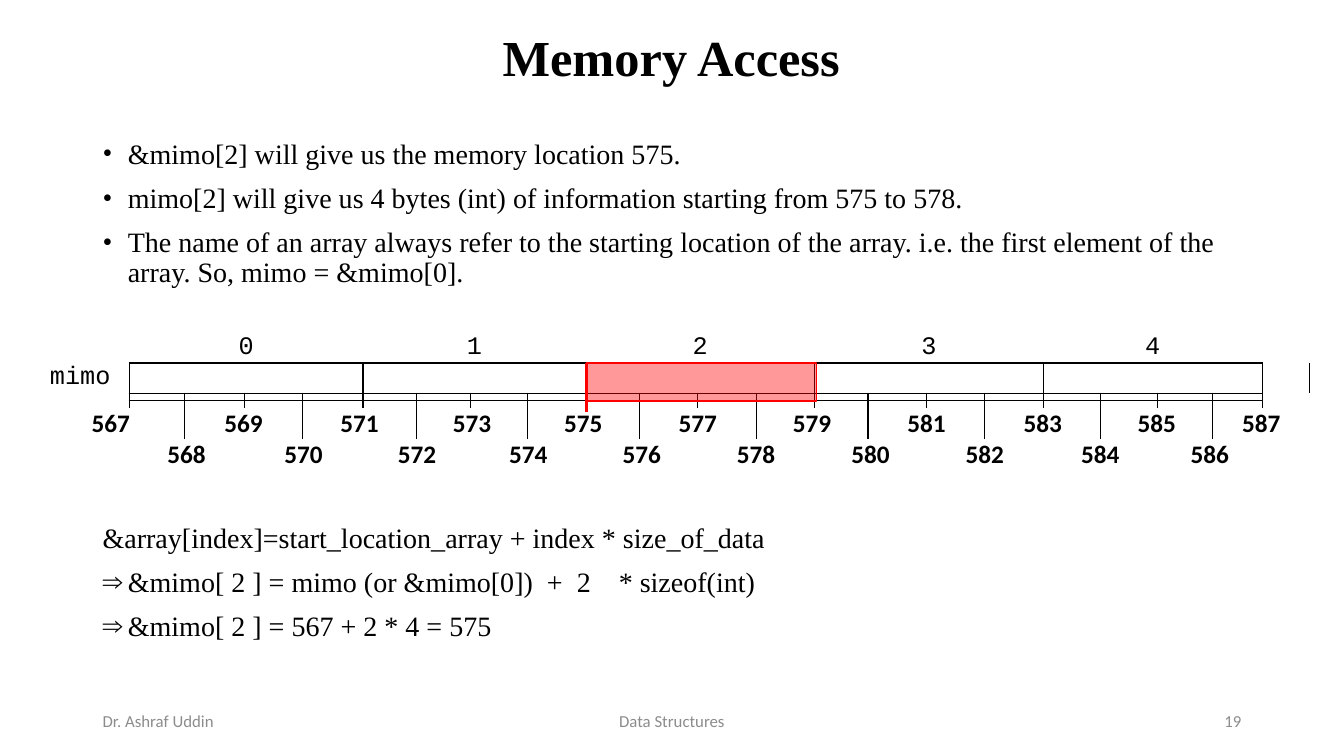
"""Build the memory access slide: an array's bytes, addresses and index formula."""
from lxml.etree import SubElement
from pptx import Presentation
from pptx.dml.color import RGBColor
from pptx.enum.shapes import MSO_CONNECTOR as Connector, MSO_SHAPE as Shape
from pptx.enum.text import MSO_ANCHOR as Anchor, PP_ALIGN as Align
from pptx.oxml.ns import qn
from pptx.util import Inches, Pt

BLACK = RGBColor(0x00, 0x00, 0x00)
GREY = RGBColor(0x8C, 0x8C, 0x8C)
RED = RGBColor(0xFF, 0x00, 0x00)
SERIF, SANS, MONO = "Times New Roman", "Calibri", "Courier New"
WIDTH, HEIGHT = Inches(13.33), Inches(7.5)
MARGIN = 6.9
NO_GRID_STYLE = "{2D5ABB26-0587-4C30-8999-92F81FD0307C}"
BYTE_WIDTHS = [7.28, 4.13, 4.43, 4.35, 4.5, 3.98, 4.05, 4.2, 4.35, 3.98, 4.35,
               4.35, 4.35, 3.98, 4.35, 4.35, 4.35, 4.28, 4.2, 4.13, 3.68, 3.53]
ROW_HEIGHTS = [3.73, 3.87, 0.93, 1.07, 4.13, 4.13, 0.67]
INDEX, CELLS, UPPER_TICK, LOWER_TICK, ODD, EVEN, FOOT = range(7)
INT_SIZE, LENGTH, START = 4, 5, 567
LAST = INT_SIZE * LENGTH + 1
STATEMENTS = [
    ("•", "&mimo[2] will give us the memory location 575."),
    ("•", "mimo[2] will give us 4 bytes (int) of information starting from 575 to 578."),
    ("•", "The name of an array always refer to the starting location of the array. "
          "i.e. the first element of the array. So, mimo = &mimo[0]."),
    (None, "&array[index]=start_location_array + index * size_of_data"),
    ("⇒", "&mimo[ 2 ] = mimo (or &mimo[0])  +  2    * sizeof(int)"),
    ("⇒", "&mimo[ 2 ] = 567 + 2 * 4 = 575"),
]


def across(percent):
    """Return a share of the slide's width."""
    return round(WIDTH * percent / 100)


def down(percent):
    """Return a share of the slide's height."""
    return round(HEIGHT * percent / 100)


def style(para, size, font, color=BLACK, bold=False, align=Align.LEFT):
    """Format a paragraph and its runs."""
    para.alignment = align
    for span in para.runs:
        span.font.size = Pt(size)
        span.font.name = font
        span.font.bold = bold
        span.font.color.rgb = color


def add_box(page, left, top, width, height, anchor=Anchor.MIDDLE):
    """Add a wrapping text box and return its text frame."""
    box = page.shapes.add_textbox(across(left), down(top), across(width), down(height))
    frame = box.text_frame
    frame.word_wrap = True
    frame.vertical_anchor = anchor
    return frame


def add_title(page):
    """Add the centred slide title."""
    para = add_box(page, 1.2, 2.8, 97.5, 10.4).paragraphs[0]
    para.text = "Memory Access"
    para.line_spacing = 0.9
    style(para, 36, SERIF, bold=True, align=Align.CENTER)


def add_footer(page, left, width, text, align):
    """Add one grey footer entry."""
    para = add_box(page, left, 92.67, width, 5.33).paragraphs[0]
    para.text = text
    style(para, 12, SANS, GREY, align=align)


def set_bullet(para, mark):
    """Give a paragraph a hanging bullet."""
    props = para._p.get_or_add_pPr()
    props.set("marL", str(Inches(0.25)))
    props.set("indent", str(-Inches(0.25)))
    SubElement(props, qn("a:buFont"), typeface=SERIF)
    SubElement(props, qn("a:buChar"), char=mark)


def add_statements(page):
    """Add the bullets and, below the diagram, the address formula."""
    frame = add_box(page, MARGIN, 17.87, 100 - 2 * MARGIN, 72.13, Anchor.TOP)
    for number, (mark, text) in enumerate(STATEMENTS):
        para = frame.add_paragraph() if number else frame.paragraphs[0]
        para.text = text
        para.line_spacing = 0.9
        para.space_before = Pt(10 if mark else 168)
        style(para, 20, SERIF)
        if mark:
            set_bullet(para, mark)


def draw_borders(cell, sides):
    """Draw black one-point borders on the named sides of a cell."""
    props = cell._tc.get_or_add_tcPr()
    for position, side in enumerate(sides):
        line = SubElement(props, qn(f"a:ln{side}"), w=str(Pt(1)))
        fill = SubElement(line, qn("a:solidFill"))
        SubElement(fill, qn("a:srgbClr"), val=str(BLACK))
        props.insert(position, line)


def fill_cell(table, row, column, text, font, span=1):
    """Merge a span of cells and write one centred label."""
    cell = table.cell(row, column)
    if span > 1:
        cell.merge(table.cell(row, column + span - 1))
    para = cell.text_frame.paragraphs[0]
    para.text = text
    style(para, 18, font, bold=font == SANS, align=Align.CENTER)


def add_table(page):
    """Add the empty, unstyled memory table."""
    frame = page.shapes.add_table(
        len(ROW_HEIGHTS), len(BYTE_WIDTHS), across(2.33), down(44),
        across(sum(BYTE_WIDTHS)), down(sum(ROW_HEIGHTS)))
    table = frame.table
    table.first_row = table.horz_banding = False
    table._tbl.tblPr.find(qn("a:tableStyleId")).text = NO_GRID_STYLE
    for column, width in zip(table.columns, BYTE_WIDTHS):
        column.width = across(width)
    for row, height in zip(table.rows, ROW_HEIGHTS):
        row.height = down(height)
    for cell in table.iter_cells():
        cell.fill.background()
        cell.margin_left = cell.margin_right = cell.margin_top = cell.margin_bottom = 0
        cell.vertical_anchor = Anchor.MIDDLE
        cell.text_frame.paragraphs[0].font.size = Pt(1)
    return table


def add_memory(page):
    """Add the array's elements, byte ticks and addresses."""
    table = add_table(page)
    fill_cell(table, CELLS, 0, "mimo", MONO)
    for index in range(LENGTH):
        first = 1 + index * INT_SIZE
        fill_cell(table, INDEX, first, str(index), MONO, INT_SIZE)
        table.cell(CELLS, first).merge(table.cell(CELLS, first + INT_SIZE - 1))
        draw_borders(table.cell(CELLS, first), "LT")
    draw_borders(table.cell(CELLS, LAST), "L")
    for column in range(1, LAST + 1):
        draw_borders(table.cell(UPPER_TICK, column), "LB" if column < LAST else "L")
        draw_borders(table.cell(LOWER_TICK, column), "L")
    for column in range(LAST):
        row = EVEN if column % 2 else ODD
        label = str(START + column) if column else f" {START}"
        fill_cell(table, row, column, label, SANS, 2)
        if row == ODD and column:
            draw_borders(table.cell(ODD, column), "L")


def add_highlight(page):
    """Mark element 2 with a red rule and a translucent red block."""
    left, top = across(43.66), down(48)
    rule = page.shapes.add_connector(Connector.STRAIGHT, left, top, left, down(54.53))
    rule.line.color.rgb = RED
    rule.line.width = Pt(2.25)
    SubElement(rule._element.spPr, qn("a:effectLst"))
    block = page.shapes.add_shape(Shape.RECTANGLE, left, top, across(17.1), down(5.07))
    block.shadow.inherit = False
    block.fill.solid()
    block.fill.fore_color.rgb = RED
    color = block._element.spPr.find(qn("a:solidFill")).find(qn("a:srgbClr"))
    SubElement(color, qn("a:alpha"), val="40000")
    block.line.color.rgb = RED
    block.line.width = Pt(1)


def main():
    """Build and save the deck."""
    deck = Presentation()
    deck.slide_width, deck.slide_height = WIDTH, HEIGHT
    page = deck.slides.add_slide(deck.slide_layouts[6])
    add_statements(page)
    add_memory(page)
    add_highlight(page)
    add_title(page)
    add_footer(page, MARGIN, 22.5, "Dr. Ashraf Uddin", Align.LEFT)
    add_footer(page, 33.12, 33.75, "Data Structures", Align.CENTER)
    add_footer(page, 100 - MARGIN - 22.5, 22.5, "19", Align.RIGHT)
    deck.save("out.pptx")


if __name__ == "__main__":
    main()
